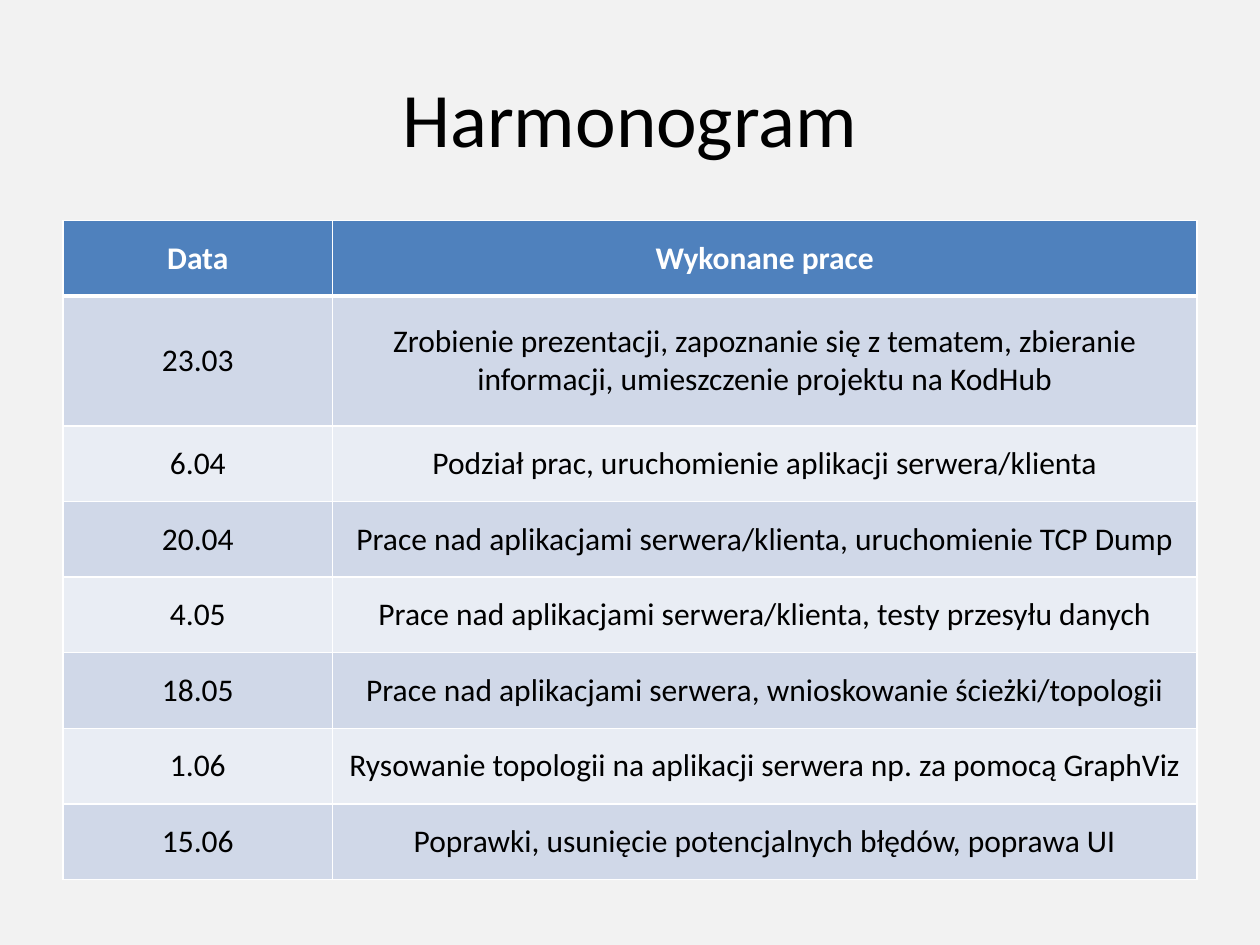
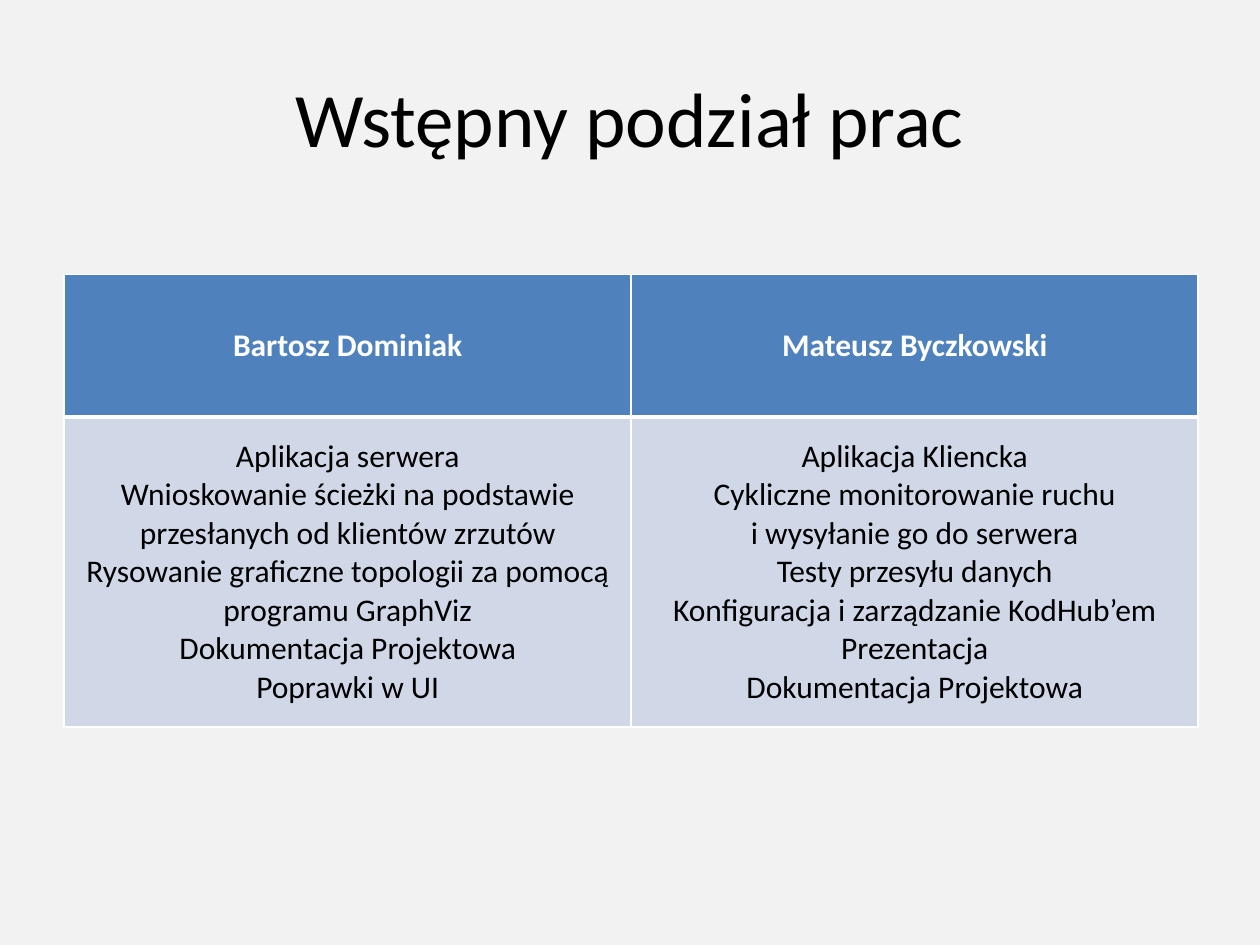
"""Build the schedule slide and the work split slide."""
from lxml import etree
from pptx import Presentation
from pptx import util as u
from pptx.dml.color import RGBColor
from pptx.enum import text
from pptx.oxml import ns

PAPER = RGBColor(0xF2, 0xF2, 0xF2)
BLUE = RGBColor(0x4F, 0x81, 0xBD)
DARK = RGBColor(0xD0, 0xD8, 0xE8)
LIGHT = RGBColor(0xE9, 0xED, 0xF4)
WHITE = RGBColor(0xFF, 0xFF, 0xFF)
BLACK = RGBColor(0x00, 0x00, 0x00)
FONT = "Calibri"

PLAN = [
    ["Data", "Wykonane prace"],
    ["23.03", "Zrobienie prezentacji, zapoznanie się z tematem, zbieranie "
              "informacji, umieszczenie projektu na KodHub"],
    ["6.04", "Podział prac, uruchomienie aplikacji serwera/klienta"],
    ["20.04", "Prace nad aplikacjami serwera/klienta, uruchomienie TCP Dump"],
    ["4.05", "Prace nad aplikacjami serwera/klienta, testy przesyłu danych"],
    ["18.05", "Prace nad aplikacjami serwera, wnioskowanie ścieżki/topologii"],
    ["1.06", "Rysowanie topologii na aplikacji serwera np. za pomocą GraphViz"],
    ["15.06", "Poprawki, usunięcie potencjalnych błędów, poprawa UI"],
]
SPLIT = [
    ["Bartosz Dominiak", "Mateusz Byczkowski"],
    ["Aplikacja serwera\n"
     "Wnioskowanie ścieżki na podstawie przesłanych od klientów zrzutów\n"
     "Rysowanie graficzne topologii za pomocą programu GraphViz\n"
     "Dokumentacja Projektowa\n"
     "Poprawki w UI",
     "Aplikacja Kliencka\n"
     "Cykliczne monitorowanie ruchu\n"
     "i wysyłanie go do serwera\n"
     "Testy przesyłu danych\n"
     "Konfiguracja i zarządzanie KodHub’em\n"
     "Prezentacja\n"
     "Dokumentacja Projektowa"],
]
SLIDES = [
    ("Harmonogram", PLAN, 0.5, 1.75, [2.14, 6.86], [0.6, 1.03] + [0.6] * 6),
    ("Wstępny podział prac", SPLIT, 0.51, 2.18, [4.5, 4.5], [1.13, 2.46]),
]


def write(frame, words, size, color, bold=False):
    for i, line in enumerate(words.split("\n")):
        para = frame.add_paragraph() if i else frame.paragraphs[0]
        para.alignment = text.PP_ALIGN.CENTER
        run = para.add_run()
        run.text = line
        run.font.name = FONT
        run.font.size = u.Pt(size)
        run.font.bold = bold
        run.font.color.rgb = color


def edge(cell, side, width):
    props = cell._tc.get_or_add_tcPr()
    line = etree.SubElement(props, ns.qn("a:ln" + side), w=str(u.Pt(width)))
    fill = etree.SubElement(line, ns.qn("a:solidFill"))
    etree.SubElement(fill, ns.qn("a:srgbClr"), val=str(WHITE))


deck = Presentation()
deck.slide_width = u.Inches(10)
deck.slide_height = u.Inches(7.5)

for title, rows, left, top, widths, heights in SLIDES:
    slide = deck.slides.add_slide(deck.slide_layouts[6])
    slide.background.fill.solid()
    slide.background.fill.fore_color.rgb = PAPER

    box = slide.shapes.add_textbox(u.Inches(0.5), u.Inches(0.3), u.Inches(9), u.Inches(1.25))
    box.text_frame.word_wrap = True
    box.text_frame.vertical_anchor = text.MSO_ANCHOR.MIDDLE
    write(box.text_frame, title, 44, BLACK)

    grid = slide.shapes.add_table(
        len(rows), len(widths), u.Inches(left), u.Inches(top),
        u.Inches(sum(widths)), u.Inches(sum(heights))).table
    for col, width in zip(grid.columns, widths):
        col.width = u.Inches(width)
    for row, height in zip(grid.rows, heights):
        row.height = u.Inches(height)

    for r, row in enumerate(rows):
        head = r == 0
        for c, words in enumerate(row):
            cell = grid.cell(r, c)
            cell.vertical_anchor = text.MSO_ANCHOR.MIDDLE
            edge(cell, "L", 1)
            edge(cell, "R", 1)
            edge(cell, "T", 3 if r == 1 else 1)
            edge(cell, "B", 3 if head else 1)
            cell.fill.solid()
            cell.fill.fore_color.rgb = BLUE if head else DARK if r % 2 else LIGHT
            write(cell.text_frame, words, 18, WHITE if head else BLACK, head)

deck.save("out.pptx")
